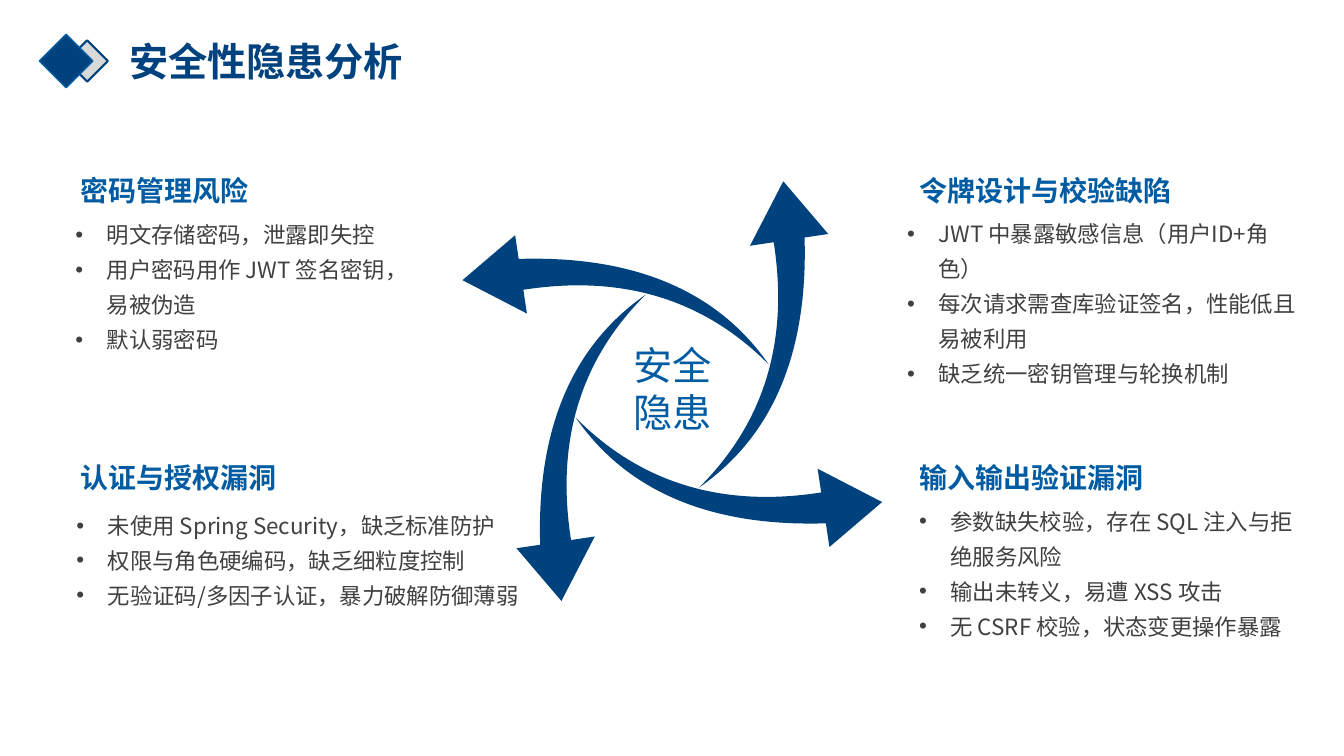
import pptx
import pptx.util
import pptx.dml.color
import pptx.enum.shapes
import pptx.enum.text
import pptx.oxml.ns
from lxml import etree

Pt = pptx.util.Pt
RGBColor = pptx.dml.color.RGBColor
MSO_SHAPE = pptx.enum.shapes.MSO_SHAPE
MSO_AUTO_SIZE = pptx.enum.text.MSO_AUTO_SIZE
MSO_ANCHOR = pptx.enum.text.MSO_ANCHOR
PP_ALIGN = pptx.enum.text.PP_ALIGN
qn = pptx.oxml.ns.qn

NAVY = RGBColor(0x00, 0x42, 0x7E)
BLUE = RGBColor(0x00, 0x5C, 0xA2)
GREY = RGBColor(0xD9, 0xD9, 0xD9)
DARK = RGBColor(0x40, 0x40, 0x40)
FONT = "Noto Sans CJK SC"

# Content
TITLE = "安全性隐患分析"
CENTRE_LABEL = "安全隐患"
# heading, heading box, bullets, bullet box (left, top, width, height)
RISKS = [
    ("密码管理风险", (50.4, 120.2, 155.5, 31.5),
     ["明文存储密码，泄露即失控",
      "用户密码用作 JWT 签名密钥，易被伪造",
      "默认弱密码"], (46.8, 149, 254.9, 105.8)),
    ("令牌设计与校验缺陷", (649.4, 120.2, 228.2, 31.5),
     ["JWT 中暴露敏感信息（用户ID+角色）",
      "每次请求需查库验证签名，性能低且易被利用",
      "缺乏统一密钥管理与轮换机制"], (640.8, 148.3, 301, 105.8)),
    ("认证与授权漏洞", (50.4, 325.4, 182.2, 31.5),
     ["未使用 Spring Security，缺乏标准防护",
      "权限与角色硬编码，缺乏细粒度控制",
      "无验证码/多因子认证，暴力破解防御薄弱"], (47.5, 356.4, 351.4, 80.6)),
    ("输入输出验证漏洞", (649.4, 325.4, 205.2, 31.5),
     ["参数缺失校验，存在 SQL 注入与拒绝服务风险",
      "输出未转义，易遭 XSS 攻击",
      "无 CSRF 校验，状态变更操作暴露"], (649.4, 353.5, 284.4, 105.8)),
]
# left, top, size, fill, line colour, line width
DIAMONDS = [(47.5, 28.8, 29.5, GREY, NAVY, 1.5),
            (28.1, 24.5, 38.2, NAVY, BLUE, 1)]

# Arrow wheel: each arrow is a quarter turn on from the one before
HUB = (480.25, 279.4)
ARROW_SIZE = (195.8, 136.1)
FIRST_OFFSET = (-43.2, -59.4)
ARROWS = [(345, "flipH"), (255, "flipH"), (345, "flipV"), (255, "flipV")]


def format_run(r, size, color, bold=False):
    r.font.size, r.font.bold = Pt(size), bold
    r.font.color.rgb = color
    r.font.name = FONT
    ea = etree.SubElement(r.font._element, qn("a:ea"))
    ea.set("typeface", FONT)


def add_bullet(p):
    pPr = p._p.get_or_add_pPr()
    pPr.set("marL", str(Pt(22.5)))
    pPr.set("indent", str(-Pt(22.5)))
    etree.SubElement(pPr, qn("a:buFont")).set("typeface", "Arial")
    etree.SubElement(pPr, qn("a:buChar")).set("char", "•")


def add_text(s, box, lines, size, color, bold=False, bullets=False,
             align=PP_ALIGN.LEFT):
    tf = s.shapes.add_textbox(*map(Pt, box)).text_frame
    tf.word_wrap = True
    tf.auto_size = MSO_AUTO_SIZE.SHAPE_TO_FIT_TEXT
    tf.text = "\n".join(lines)
    for p in tf.paragraphs:
        p.alignment = align
        if bullets:
            add_bullet(p)
            p.line_spacing = 1.3
        format_run(p.runs[0], size, color, bold)


def add_solid(shapes, kind, box, fill):
    sp = shapes.add_shape(kind, *map(Pt, box))
    sp.shadow.inherit = False
    sp.fill.solid()
    sp.fill.fore_color.rgb = fill
    return sp


def main():
    prs = pptx.Presentation()
    prs.slide_width, prs.slide_height = Pt(960), Pt(540)
    s = prs.slides.add_slide(prs.slide_layouts[5])

    # Title with its diamond mark
    mark = s.shapes.add_group_shape()
    for left, top, size, fill, line, width in DIAMONDS:
        sp = add_solid(mark.shapes, MSO_SHAPE.DIAMOND,
                       (left, top, size, size), fill)
        sp.line.color.rgb = line
        sp.line.width = Pt(width)

    title = s.shapes.title
    title.left, title.top, title.width, title.height = map(
        Pt, (85, 28.1, 447.8, 34.6))
    tf = title.text_frame
    tf.text = TITLE
    tf.auto_size = MSO_AUTO_SIZE.NONE
    tf.vertical_anchor = MSO_ANCHOR.MIDDLE
    p = tf.paragraphs[0]
    p.alignment = PP_ALIGN.LEFT
    p.line_spacing = 0.9
    format_run(p.runs[0], 28, NAVY, True)

    # Four swoosh arrows around the hub
    dx, dy = FIRST_OFFSET
    w, h = ARROW_SIZE
    for rotation, flip in ARROWS:
        box = (HUB[0] + dx - w / 2, HUB[1] + dy - h / 2, w, h)
        sp = add_solid(s.shapes, MSO_SHAPE.SWOOSH_ARROW, box, NAVY)
        sp.line.fill.background()
        sp.adjustments[0], sp.adjustments[1] = 0.163, 0.314
        sp.rotation = rotation
        sp._element.spPr.find(qn("a:xfrm")).set(flip, "1")
        dx, dy = dy, -dx

    add_text(s, (438.5, 240.5, 83.5, 74.9), [CENTRE_LABEL], 28, BLUE,
             align=PP_ALIGN.CENTER)

    # Risk blocks
    for heading, heading_box, bullets, bullet_box in RISKS:
        add_text(s, heading_box, [heading], 20, BLUE, bold=True)
        add_text(s, bullet_box, bullets, 16, DARK, bullets=True)

    prs.save("out.pptx")


if __name__ == "__main__":
    main()
